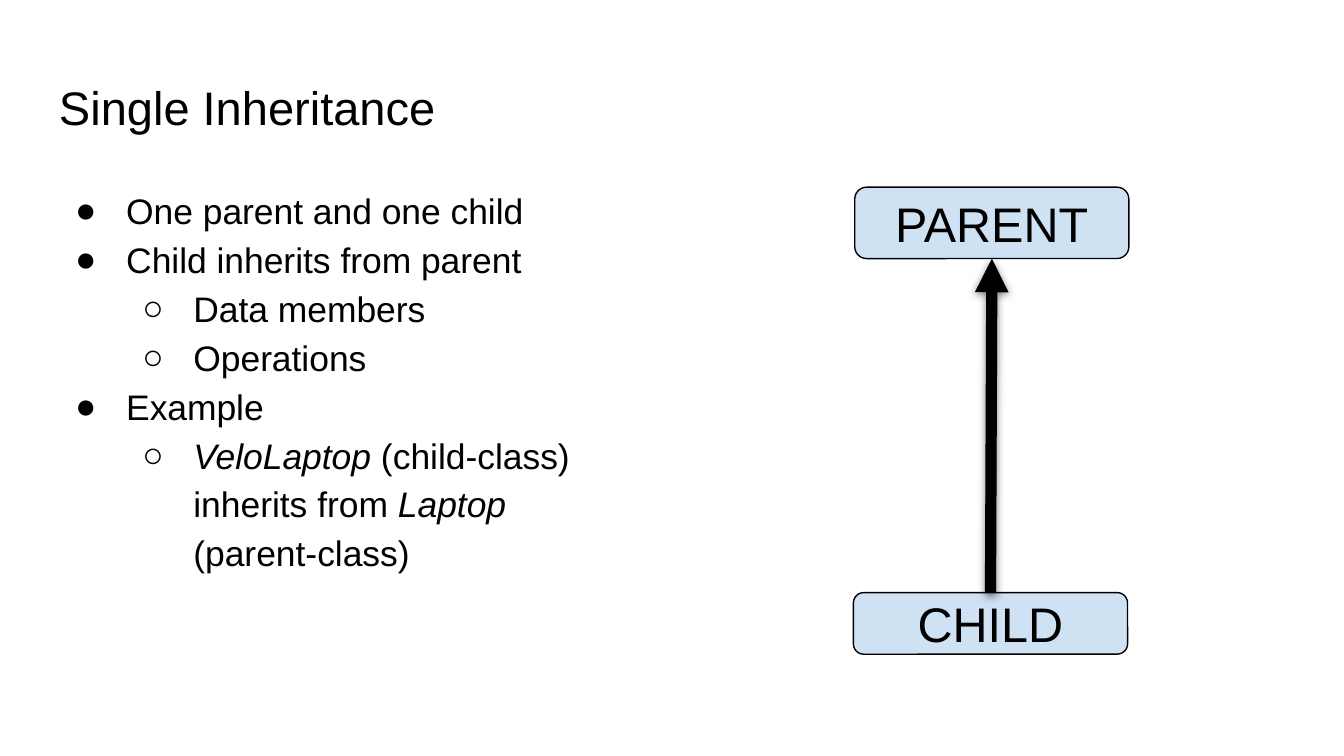
"""Build the Single Inheritance slide: bullets beside a parent and child diagram."""
from lxml import etree
from pptx import Presentation
from pptx.dml.color import RGBColor
from pptx.enum.shapes import MSO_CONNECTOR, MSO_SHAPE
from pptx.enum.text import MSO_ANCHOR, PP_ALIGN
from pptx.oxml.ns import qn
from pptx.util import Inches, Pt

ROUNDED = MSO_SHAPE.ROUNDED_RECTANGLE
STRAIGHT = MSO_CONNECTOR.STRAIGHT
MIDDLE = MSO_ANCHOR.MIDDLE
CENTER = PP_ALIGN.CENTER
TOP_SIDE, BOTTOM_SIDE = 0, 2
BLACK, PALE_BLUE = "000000", "CFE2F3"
BULLETS = [
    (0, ["One parent and one child"]),
    (0, ["Child inherits from parent"]),
    (1, ["Data members"]),
    (1, ["Operations"]),
    (0, ["Example"]),
    (1, ["*VeloLaptop", " (child-class) inherits from ", "*Laptop", " (parent-class)"]),
]
CLASSES = [("PARENT", 63.6, 24.76, 9.45), ("CHILD", 63.5, 78.4, 8.15)]


def color(value):
    return RGBColor.from_string(value)


def write(para, text, size, italic=False):
    span = para.add_run()
    span.text = text
    span.font.color.rgb = color(BLACK)
    for name, value in {"name": "Arial", "size": Pt(size), "italic": italic}.items():
        setattr(span.font, name, value)


deck = Presentation()
deck.slide_width = Inches(10)
deck.slide_height = deck.slide_width * 9 // 16
column, row = deck.slide_width / 100, deck.slide_height / 100
page = deck.slides.add_slide(deck.slide_layouts[6])
margins = {f"margin_{side}": Inches(0.1) for side in ("left", "top", "right", "bottom")}

frames = []
for top, width, height in [(8.65, 93.18, 11.13), (22.41, 43.74, 66.42)]:
    box = page.shapes.add_textbox(
        int(3.41 * column), int(top * row), int(width * column), int(height * row))
    for name, value in {**margins, "word_wrap": True}.items():
        setattr(box.text_frame, name, value)
    frames.append(box.text_frame)
title, body = frames
write(title.paragraphs[0], "Single Inheritance", 25.2)

for index, (level, pieces) in enumerate(BULLETS):
    para = body.add_paragraph() if index else body.paragraphs[0]
    para.level = level
    para.line_spacing = 1.15
    props = para._p.get_or_add_pPr()
    props.set("marL", str(Inches(0.5 * (level + 1))))
    props.set("indent", str(Inches(-0.38)))
    bullet_color = etree.SubElement(props, qn("a:buClr"))
    etree.SubElement(bullet_color, qn("a:srgbClr"), val=BLACK)
    etree.SubElement(props, qn("a:buFont"), typeface="Arial")
    etree.SubElement(props, qn("a:buChar"), char="●○"[level])
    for piece in pieces:
        write(para, piece.lstrip("*"), 19, piece.startswith("*"))

boxes = []
for label, left, top, height in CLASSES:
    box = page.shapes.add_shape(
        ROUNDED, int(left * column), int(top * row), int(20.4 * column), int(height * row))
    box.shadow.inherit = False
    box.fill.solid()
    box.fill.fore_color.rgb = color(PALE_BLUE)
    box.line.color.rgb = color(BLACK)
    box.line.width = Pt(0.75)
    for name, value in {**margins, "word_wrap": True, "vertical_anchor": MIDDLE}.items():
        setattr(box.text_frame, name, value)
    para = box.text_frame.paragraphs[0]
    para.alignment = CENTER
    write(para, label, 26)
    boxes.append(box)
parent, child = boxes

arrow = page.shapes.add_connector(STRAIGHT, 0, 0, 0, 0)
arrow.begin_connect(child, TOP_SIDE)
arrow.end_connect(parent, BOTTOM_SIDE)
arrow.line.color.rgb = color(BLACK)
arrow.line.width = Pt(6)
outline = arrow._element.spPr.find(qn("a:ln"))
etree.SubElement(outline, qn("a:tailEnd"), type="triangle")
effects = etree.SubElement(arrow._element.spPr, qn("a:effectLst"))
shadow = etree.SubElement(
    effects, qn("a:outerShdw"), blurRad=str(Pt(4.5)), dist=str(Pt(1.5)),
    dir="5400000", algn="bl", rotWithShape="0")
shade = etree.SubElement(shadow, qn("a:srgbClr"), val=BLACK)
etree.SubElement(shade, qn("a:alpha"), val="50000")

deck.save("out.pptx")
